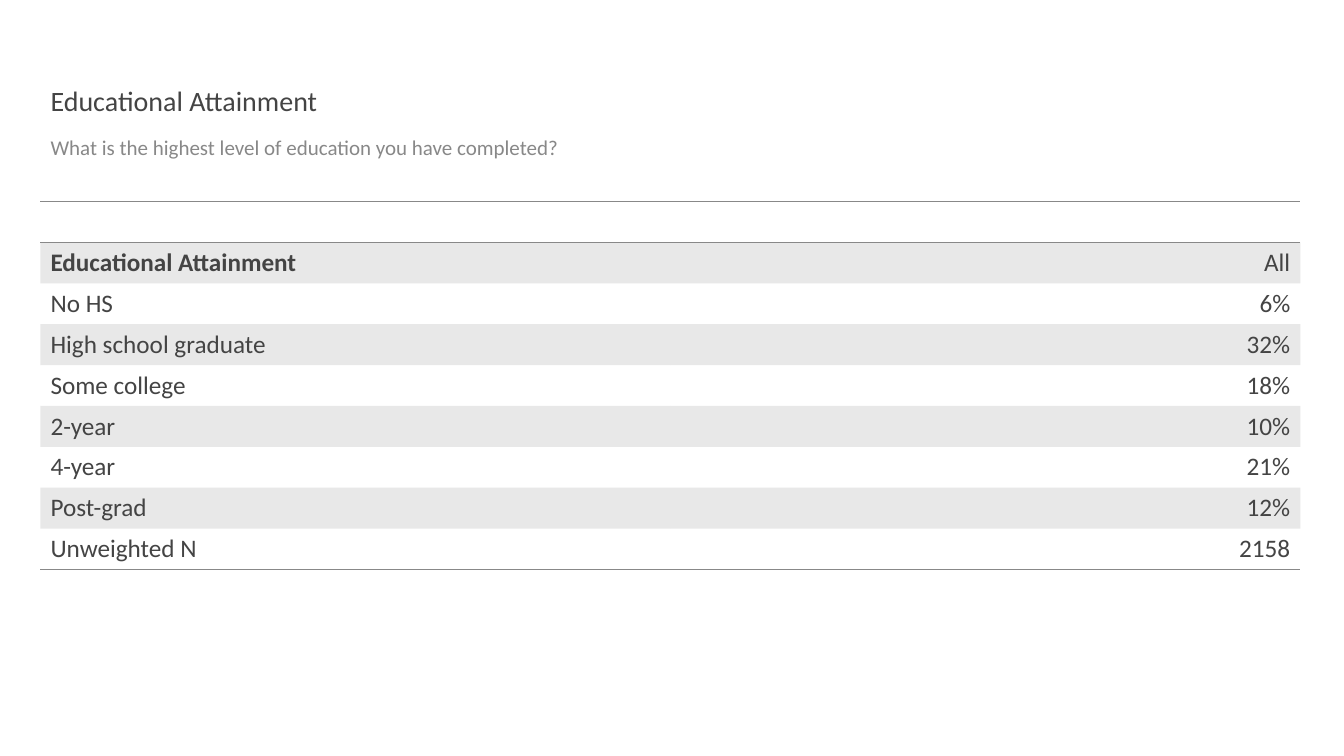
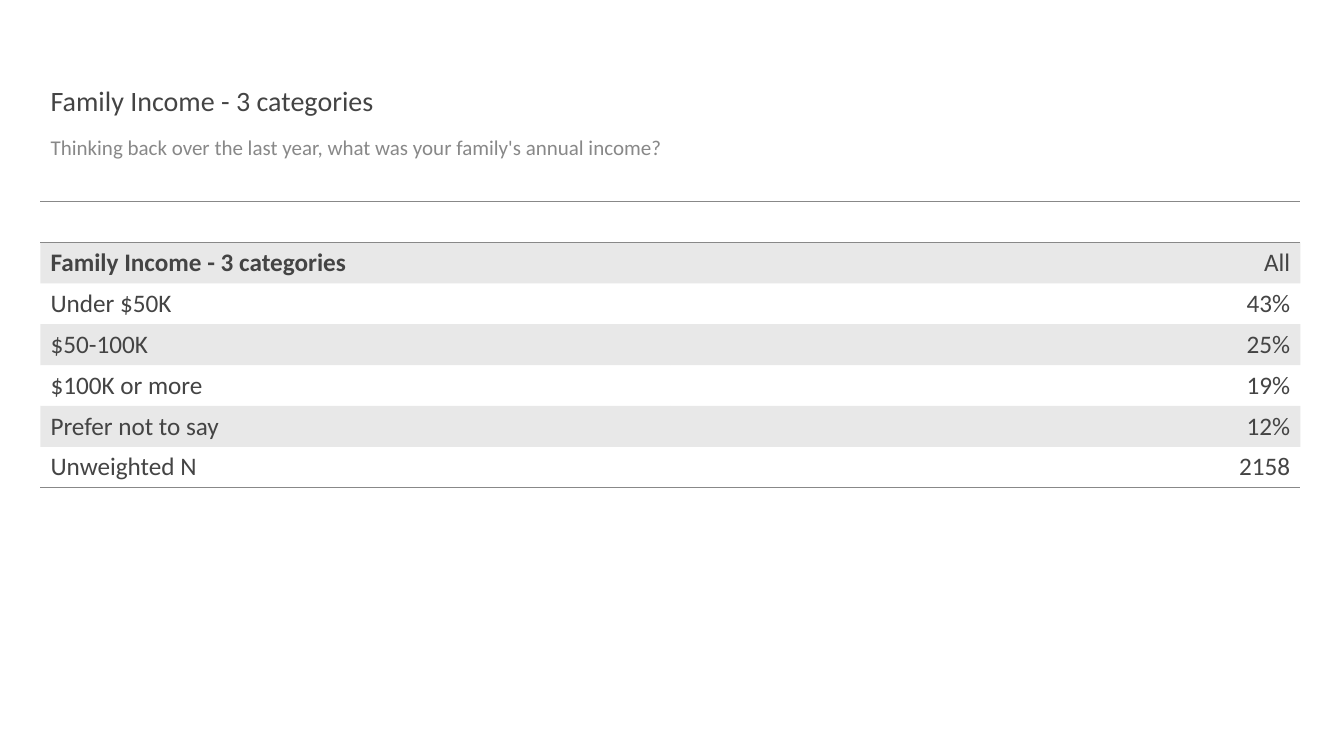
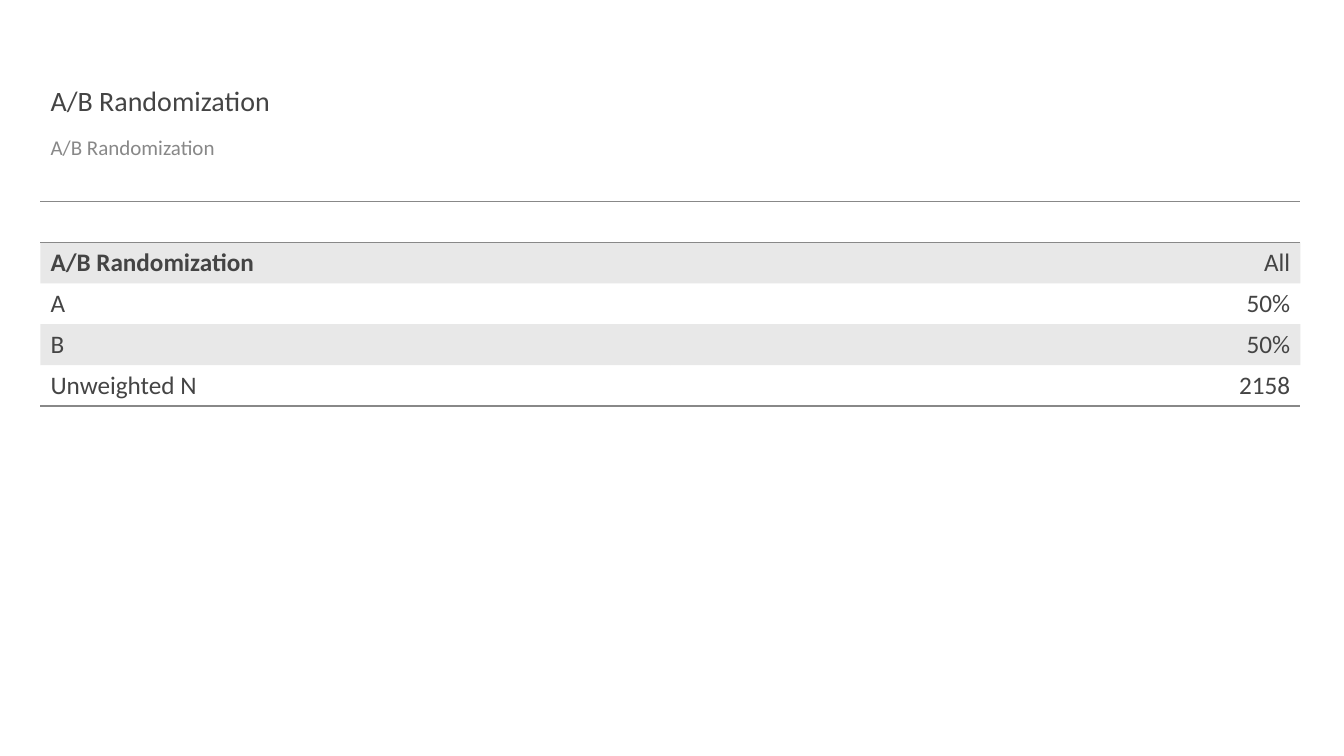
from dataclasses import dataclass

from lxml.etree import SubElement
from pptx import Presentation
from pptx.dml.color import RGBColor
from pptx.enum.text import MSO_ANCHOR, MSO_AUTO_SIZE, PP_ALIGN
from pptx.oxml.ns import qn
from pptx.util import Cm, Pt


@dataclass(frozen=True)
class Theme:
    font: str = "Calibri"
    ink: RGBColor = RGBColor(0x44, 0x44, 0x44)
    muted: RGBColor = RGBColor(0x88, 0x88, 0x88)
    band_opacity: int = 12  # percent
    title_size: Pt = Pt(20)
    question_size: Pt = Pt(15)
    table_size: Pt = Pt(18)
    rule_width: Pt = Pt(1)
    left: Cm = Cm(1.02)
    width: Cm = Cm(31.75)
    row_height: Cm = Cm(1.03)
    no_grid_style: str = "{2D5ABB26-0587-4C30-8999-92F81FD0307C}"


THEME = Theme()

# Each survey item: title, question, answers with their share
SURVEY = [
    ("Educational Attainment",
     "What is the highest level of education you have completed?",
     [("No HS", "6%"), ("High school graduate", "32%"),
      ("Some college", "18%"), ("2-year", "10%"), ("4-year", "21%"),
      ("Post-grad", "12%"), ("Unweighted N", "2158")]),
    ("Family Income - 3 categories",
     "Thinking back over the last year, what was your family's annual income?",
     [("Under $50K", "43%"), ("$50-100K", "25%"), ("$100K or more", "19%"),
      ("Prefer not to say", "12%"), ("Unweighted N", "2158")]),
    ("A/B Randomization",
     "A/B Randomization",
     [("A", "50%"), ("B", "50%"), ("Unweighted N", "2158")]),
]


def style_paragraph(paragraph, size, color, align=PP_ALIGN.LEFT, bold=False):
    paragraph.alignment = align
    for run in paragraph.runs:
        run.font.name = THEME.font
        run.font.size = size
        run.font.color.rgb = color
        run.font.bold = bold


def fill_placeholder(placeholder, text, top, height, size, color, anchor):
    """Place a heading placeholder and return its formatted paragraph."""
    placeholder.left, placeholder.top = THEME.left, top
    placeholder.width, placeholder.height = THEME.width, height
    frame = placeholder.text_frame
    frame.text = text
    frame.auto_size = MSO_AUTO_SIZE.NONE
    frame.vertical_anchor = anchor
    paragraph = frame.paragraphs[0]
    paragraph.line_spacing = 0.9
    style_paragraph(paragraph, size, color)
    return paragraph


def add_heading(slide, title, question):
    fill_placeholder(slide.shapes.title, title, Cm(1.02), Cm(2.06),
                     THEME.title_size, THEME.ink, MSO_ANCHOR.BOTTOM)
    question_line = fill_placeholder(
        slide.placeholders[1], question, Cm(3.33), Cm(1.3),
        THEME.question_size, THEME.muted, MSO_ANCHOR.TOP)
    question_line.space_before = Pt(10)
    # The question is plain text, without bullet or indent
    properties = question_line._p.get_or_add_pPr()
    properties.set("marL", "0")
    properties.set("indent", "0")
    SubElement(properties, qn("a:buNone"))


def add_rule(cell, side):
    """Draw a cell border; call before filling and from top to bottom."""
    line = SubElement(cell._tc.get_or_add_tcPr(), qn(f"a:ln{side}"),
                      w=str(THEME.rule_width))
    solid = SubElement(line, qn("a:solidFill"))
    SubElement(solid, qn("a:srgbClr"), val=str(THEME.muted))


def fill_band(cell, banded):
    if not banded:
        cell.fill.background()
        return
    cell.fill.solid()
    cell.fill.fore_color.rgb = THEME.ink
    tint = cell._tc.tcPr.find(f"{qn('a:solidFill')}/{qn('a:srgbClr')}")
    SubElement(tint, qn("a:alpha"), val=str(THEME.band_opacity * 1000))


def add_results(slide, title, answers):
    # An empty spacer row between two rules leads the table
    rows = [("", ""), (title, "All"), *answers]
    last = len(rows) - 1
    frame = slide.shapes.add_table(
        len(rows), 2, THEME.left, Cm(5.08), THEME.width,
        THEME.row_height * len(rows))
    table = frame.table
    table.first_row = table.horz_banding = False
    for style_id in frame.element.iter(qn("a:tableStyleId")):
        style_id.text = THEME.no_grid_style

    for row_index, values in enumerate(rows):
        table.rows[row_index].height = THEME.row_height
        is_header = row_index == 1
        for column, value in enumerate(values):
            cell = table.cell(row_index, column)
            cell.text = value
            cell.vertical_anchor = (
                MSO_ANCHOR.BOTTOM if is_header else MSO_ANCHOR.MIDDLE)
            style_paragraph(
                cell.text_frame.paragraphs[0], THEME.table_size, THEME.ink,
                PP_ALIGN.RIGHT if column else PP_ALIGN.LEFT,
                bold=is_header and column == 0)
            if row_index == 0:
                add_rule(cell, "T")
            if row_index in (0, last):
                add_rule(cell, "B")
            fill_band(cell, banded=row_index % 2 == 1)


def main():
    deck = Presentation()
    deck.slide_width, deck.slide_height = Cm(33.87), Cm(19.05)
    title_and_content = deck.slide_layouts[1]
    for title, question, answers in SURVEY:
        slide = deck.slides.add_slide(title_and_content)
        add_heading(slide, title, question)
        add_results(slide, title, answers)
    deck.save("out.pptx")


if __name__ == "__main__":
    main()
